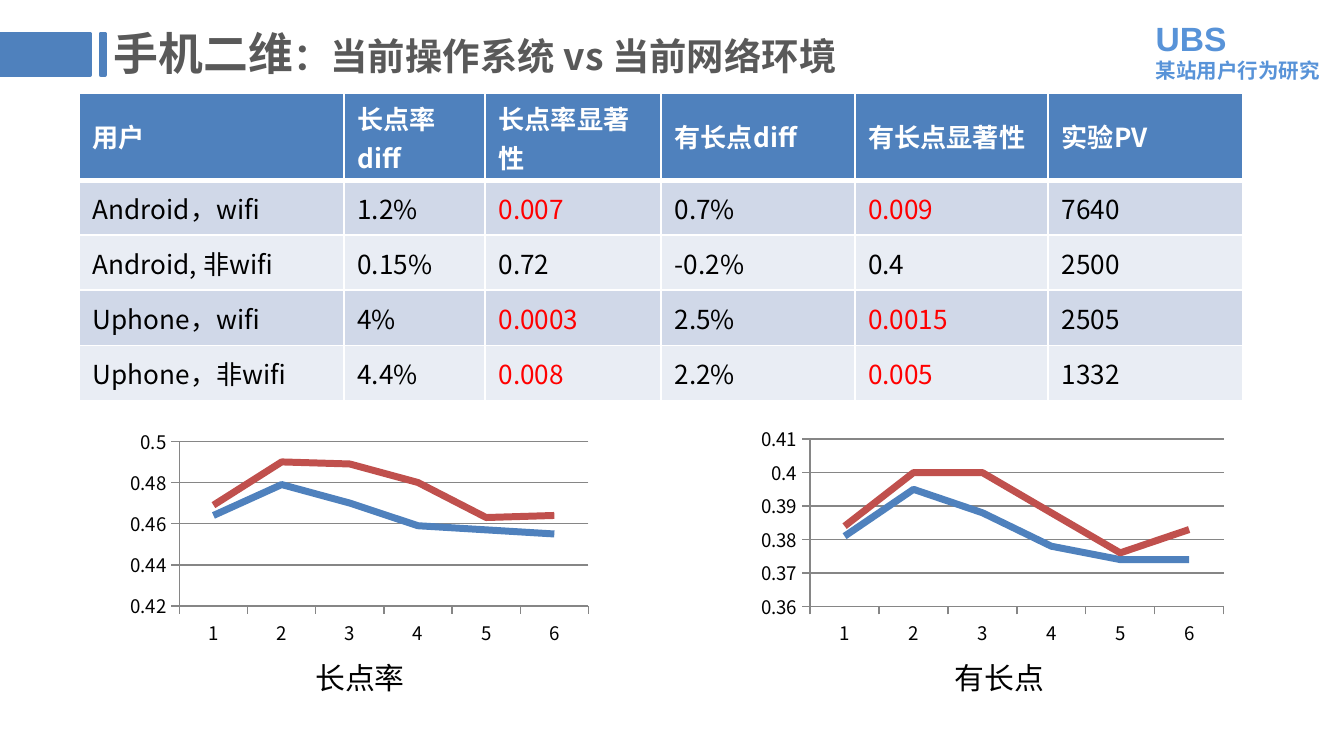
from lxml import etree
from pptx import Presentation
from pptx.chart.data import CategoryChartData
from pptx.dml.color import RGBColor
from pptx.enum.chart import XL_CHART_TYPE, XL_TICK_MARK
from pptx.enum.shapes import MSO_SHAPE
from pptx.enum.text import MSO_ANCHOR, PP_ALIGN
from pptx.oxml import parse_xml
from pptx.oxml.ns import nsdecls, qn
from pptx.util import Inches, Pt

LINE_CHART = XL_CHART_TYPE.LINE
TICK_OUT = XL_TICK_MARK.OUTSIDE
TICK_NONE = XL_TICK_MARK.NONE
RECTANGLE = MSO_SHAPE.RECTANGLE
MIDDLE = MSO_ANCHOR.MIDDLE
CENTER = PP_ALIGN.CENTER

WHITE = RGBColor(0xFF, 0xFF, 0xFF)
BLACK = RGBColor(0x00, 0x00, 0x00)
RED = RGBColor(0xFF, 0x00, 0x00)
BLUE = RGBColor(0x4F, 0x81, 0xBD)
BRICK = RGBColor(0xC0, 0x50, 0x4D)
LIGHT_BLUE = RGBColor(0x58, 0x93, 0xD8)
BAND_DARK = RGBColor(0xD0, 0xD8, 0xE8)
BAND_LIGHT = RGBColor(0xE9, 0xED, 0xF4)
TITLE_GRAY = RGBColor(0x59, 0x59, 0x59)
GRID_GRAY = RGBColor(0x86, 0x86, 0x86)
CJK_FONT = "Noto Sans CJK SC"


def add_text_box(left, top, width, height):
    box = slide.shapes.add_textbox(Inches(left), Inches(top), Inches(width), Inches(height))
    box.text_frame.word_wrap = True
    return box.text_frame


def style_span(span, size, color, bold=False, font_name=CJK_FONT):
    span.font.size = Pt(size)
    span.font.bold = bold
    span.font.color.rgb = color
    span.font.name = font_name
    east_asian = etree.SubElement(span.font._element, qn("a:ea"))
    east_asian.set("typeface", font_name)


deck = Presentation()
deck.slide_width = Inches(10)
deck.slide_height = Inches(10) * 9 // 16
slide = deck.slides.add_slide(deck.slide_layouts[6])

brand = add_text_box(8.5, -0.02, 1.97, 0.79)
brand.vertical_anchor = MIDDLE
brand.text = "UBS\n某站用户行为研究"
style_span(brand.paragraphs[0].runs[0], 18, LIGHT_BLUE, True, "Arial")
style_span(brand.paragraphs[1].runs[0], 11, LIGHT_BLUE, True)

title = add_text_box(0.75, 0.14, 7.56, 0.55)
title.vertical_anchor = MIDDLE
title.paragraphs[0].line_spacing = 0.9
for text, size in (("手机二维", 24), ("：当前操作系统 vs 当前网络环境", 20)):
    span = title.paragraphs[0].add_run()
    span.text = text
    style_span(span, size, TITLE_GRAY, True)

column_widths = [1.97, 1.05, 1.31, 1.44, 1.44, 1.45]
rows = [
    ["用户", "长点率diff", "长点率显著性", "有长点diff", "有长点显著性", "实验PV"],
    ["Android，wifi", "1.2%", "0.007", "0.7%", "0.009", "7640"],
    ["Android, 非wifi", "0.15%", "0.72", "-0.2%", "0.4", "2500"],
    ["Uphone，wifi", "4%", "0.0003", "2.5%", "0.0015", "2505"],
    ["Uphone，非wifi", "4.4%", "0.008", "2.2%", "0.005", "1332"],
]
significance_columns = (2, 4)
table = slide.shapes.add_table(
    len(rows), len(column_widths), Inches(0.59), Inches(0.69), Inches(8.66), Inches(2.19)
).table
for column, width in zip(table.columns, column_widths):
    column.width = Inches(width)
for row_index, row in enumerate(rows):
    is_header = row_index == 0
    table.rows[row_index].height = Inches(0.65 if is_header else 0.41)
    band = BAND_DARK if row_index % 2 else BAND_LIGHT
    for column_index, text in enumerate(row):
        cell = table.cell(row_index, column_index)
        cell.fill.solid()
        cell.fill.fore_color.rgb = BLUE if is_header else band
        cell.vertical_anchor = MIDDLE
        cell.text_frame.text = text
        color = WHITE if is_header else BLACK
        if not is_header and column_index in significance_columns and float(text) < 0.05:
            color = RED
        style_span(cell.text_frame.paragraphs[0].runs[0], 14, color, is_header)
        if is_header:
            cell._tc.get_or_add_tcPr().insert(0, parse_xml(
                f'<a:lnB {nsdecls("a")} w="{Pt(3)}"><a:solidFill>'
                f'<a:srgbClr val="{WHITE}"/></a:solidFill></a:lnB>'
            ))

charts = [
    {
        "frame": (0.91, 3.15, 3.54, 1.68),
        "plot": (0.12, 0.08, 0.86, 0.73),
        "scale": (0.42, 0.5, 0.02),
        "values": (
            (0.464, 0.479, 0.47, 0.459, 0.457, 0.455),
            (0.469, 0.49, 0.489, 0.48, 0.463, 0.464),
        ),
        "caption": "长点率",
        "caption_frame": (1.3, 4.86, 2.76, 0.37),
    },
    {
        "frame": (5.63, 3.13, 3.62, 1.73),
        "plot": (0.11, 0.08, 0.85, 0.72),
        "scale": (0.36, 0.41, 0.01),
        "values": (
            (0.381, 0.395, 0.388, 0.378, 0.374, 0.374),
            (0.384, 0.4, 0.4, 0.388, 0.376, 0.383),
        ),
        "caption": "有长点",
        "caption_frame": (5.98, 4.86, 2.91, 0.37),
    },
]
for item in charts:
    data = CategoryChartData()
    data.categories = ["1", "2", "3", "4", "5", "6"]
    for number, values in enumerate(item["values"], start=1):
        data.add_series(f"Series {number}", values)
    frame = [Inches(length) for length in item["frame"]]
    chart = slide.shapes.add_chart(LINE_CHART, *frame, data).chart
    chart.has_legend = False
    chart.has_title = False
    chart.font.size = Pt(10)
    chart.font.name = CJK_FONT
    chart.font.color.rgb = BLACK

    value_axis = chart.value_axis
    value_axis.minimum_scale, value_axis.maximum_scale, value_axis.major_unit = item["scale"]
    value_axis.has_major_gridlines = True
    value_axis.tick_labels.number_format = "General"
    value_axis.tick_labels.number_format_is_linked = False
    for axis in (chart.category_axis, value_axis):
        axis.major_tick_mark = TICK_OUT
        axis.minor_tick_mark = TICK_NONE
    for line in (chart.category_axis.format.line, value_axis.format.line,
                 value_axis.major_gridlines.format.line):
        line.color.rgb = GRID_GRAY
        line.width = Pt(0.75)

    chart.plots[0].vary_by_categories = False
    for series, color in zip(chart.plots[0].series, (BLUE, BRICK)):
        series.smooth = False
        series.format.line.color.rgb = color
        series.format.line.width = Pt(3.75)

    plot_area = chart._chartSpace.chart.plotArea
    for layout in plot_area.findall(qn("c:layout")):
        plot_area.remove(layout)
    left, top, width, height = item["plot"]
    plot_area.insert(0, parse_xml(
        f'<c:layout {nsdecls("c")}><c:manualLayout><c:layoutTarget val="inner"/>'
        '<c:xMode val="edge"/><c:yMode val="edge"/>'
        f'<c:x val="{left}"/><c:y val="{top}"/><c:w val="{width}"/><c:h val="{height}"/>'
        '</c:manualLayout></c:layout>'
    ))

    caption = add_text_box(*item["caption_frame"])
    caption.text = item["caption"]
    caption.paragraphs[0].alignment = CENTER
    style_span(caption.paragraphs[0].runs[0], 16, BLACK)

for left, width in ((0, 0.67), (0.75, 0.03)):
    bar = slide.shapes.add_shape(
        RECTANGLE, Inches(left), Inches(0.25), Inches(width), Inches(0.31)
    )
    bar.shadow.inherit = False
    bar.fill.solid()
    bar.fill.fore_color.rgb = BLUE
    bar.line.color.rgb = BLUE
    bar.line.width = Pt(2)

deck.save("out.pptx")
